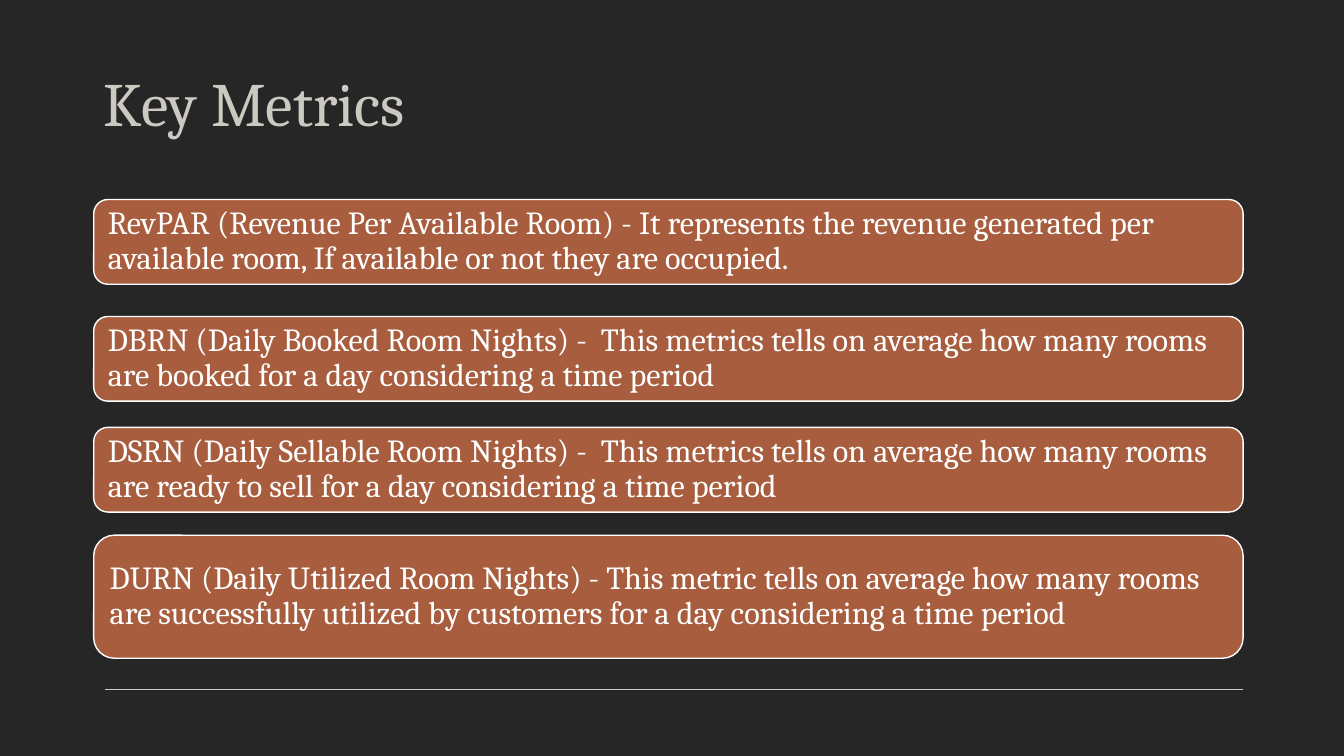
from pptx import Presentation
from pptx.dml.color import RGBColor
from pptx.enum.shapes import MSO_CONNECTOR, MSO_SHAPE
from pptx.enum.text import MSO_ANCHOR, MSO_AUTO_SIZE, PP_ALIGN
from pptx.oxml.ns import qn
from pptx.util import Inches, Pt
from lxml import etree

STRAIGHT = MSO_CONNECTOR.STRAIGHT
ROUNDED = MSO_SHAPE.ROUNDED_RECTANGLE
MIDDLE, BOTTOM = MSO_ANCHOR.MIDDLE, MSO_ANCHOR.BOTTOM
NO_FIT = MSO_AUTO_SIZE.NONE
LEFT_ALIGN = PP_ALIGN.LEFT

LEFT, WIDTH = 0.93, 11.4
METRICS = [
    (1.98, 0.84, "RevPAR (Revenue Per Available Room) - It represents the revenue "
     "generated per available room, If available or not they are occupied."),
    (3.14, 0.84, "DBRN (Daily Booked Room Nights) -  This metrics tells on average "
     "how many rooms are booked for a day considering a time period"),
    (4.24, 0.84, "DSRN (Daily Sellable Room Nights) -  This metrics tells on average "
     "how many rooms are ready to sell for a day considering a time period"),
    (5.31, 1.22, "DURN (Daily Utilized Room Nights) - This metric tells on average how "
     "many rooms are successfully utilized by customers for a day considering a time period"),
]


def color(value):
    """Turn a hex string into a colour."""
    return RGBColor.from_string(value)


def apply(target, values):
    """Set each named attribute on the target."""
    for name, value in values.items():
        setattr(target, name, value)


class MetricsSlide:
    """Hold the style and the current slide."""

    FONT = "Cambria"
    BACKGROUND, PALE, RUST, WHITE = "262626", "CCC9C2", "A85E3E", "FFFFFF"

    def __init__(self, deck):
        """Add a title-only slide with a dark background."""
        self.page = deck.slides.add_slide(deck.slide_layouts[5])
        fill = self.page.background.fill
        fill.solid()
        fill.fore_color.rgb = color(self.BACKGROUND)

    def set_text(self, shape, text, size, hue, frame_format):
        """Put one formatted paragraph into a shape."""
        frame = shape.text_frame
        apply(frame, {"word_wrap": True, "auto_size": NO_FIT, **frame_format})
        para = frame.paragraphs[0]
        apply(para, {"alignment": LEFT_ALIGN, "line_spacing": 0.9})
        span = para.add_run()
        span.text = text
        apply(span.font, {"name": self.FONT, "size": Pt(size)})
        span.font.color.rgb = color(hue)

    def title(self, text, top, height):
        """Place and format the title."""
        box = self.page.shapes.title
        apply(box, {"left": Inches(LEFT), "top": Inches(top),
                    "width": Inches(WIDTH), "height": Inches(height)})
        self.set_text(box, text, 44, self.PALE, {"vertical_anchor": BOTTOM})

    def rule(self, left, right, top):
        """Draw a thin horizontal line."""
        line = self.page.shapes.add_connector(
            STRAIGHT, Inches(left), Inches(top), Inches(right), Inches(top))
        line.line.color.rgb = color(self.PALE)
        line.line.width = Pt(0.85)
        etree.SubElement(line.element.spPr, qn("a:effectLst"))

    def metric(self, top, height, text):
        """Draw a rounded box that explains one metric."""
        box = self.page.shapes.add_shape(
            ROUNDED, Inches(LEFT), Inches(top), Inches(WIDTH), Inches(height))
        box.shadow.inherit = False
        box.fill.solid()
        box.fill.fore_color.rgb = color(self.RUST)
        box.line.color.rgb = color(self.WHITE)
        box.line.width = Pt(1)
        margins = {f"margin_{side}": Inches(0.1)
                   for side in ("left", "top", "right", "bottom")}
        self.set_text(box, text, 23, self.WHITE,
                      {"vertical_anchor": MIDDLE, **margins})


def main():
    """Build and save the deck."""
    deck = Presentation()
    apply(deck, {"slide_width": Inches(13.33), "slide_height": Inches(7.5)})
    slide = MetricsSlide(deck)
    slide.rule(1.04, 12.33, 6.84)
    slide.title("Key Metrics", 0.5, 0.94)
    for top, height, text in METRICS:
        slide.metric(top, height, text)
    deck.save("out.pptx")


if __name__ == "__main__":
    main()
